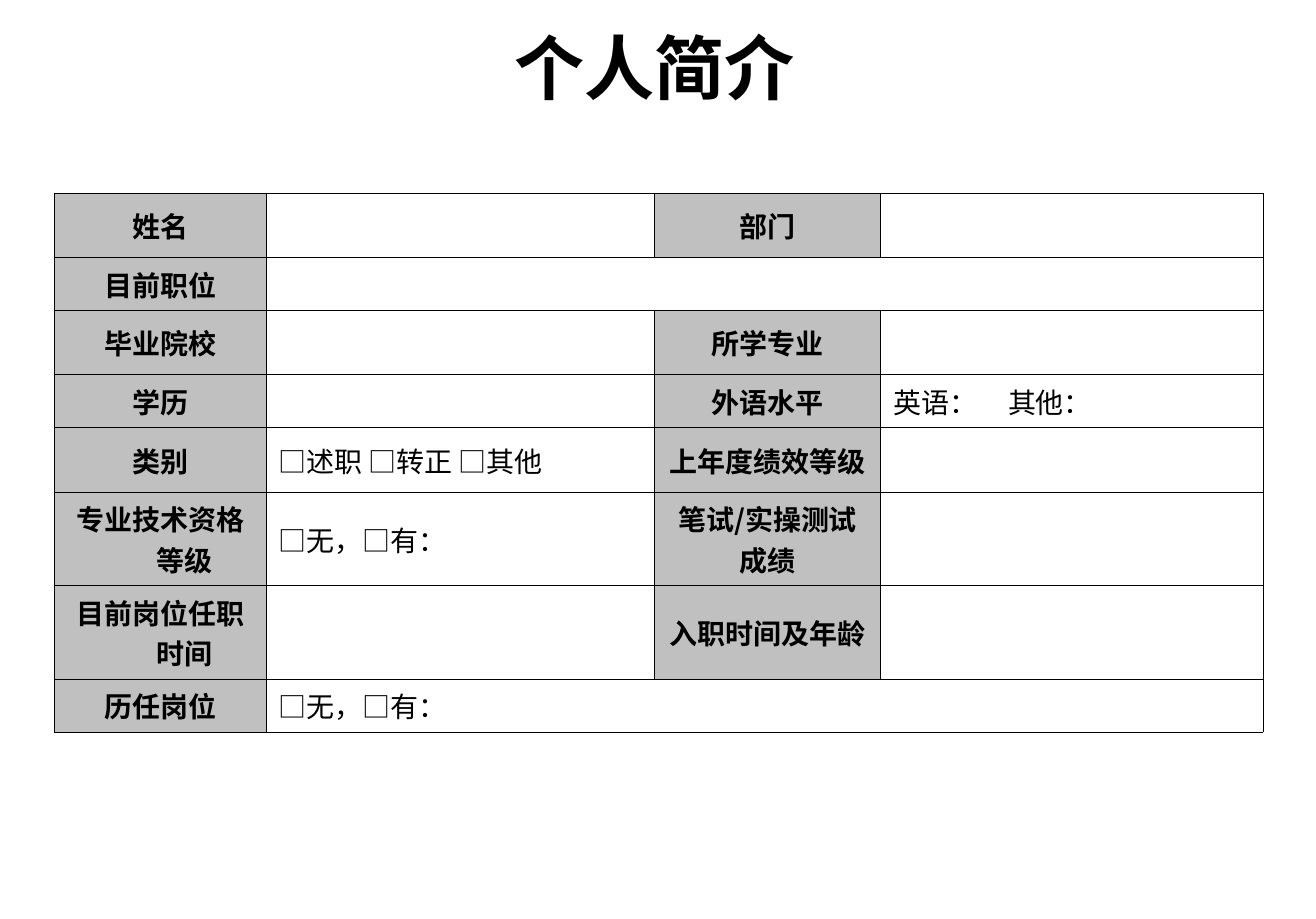
import pptx
import pptx.util
import pptx.dml.color
import pptx.enum.text
import pptx.oxml
import pptx.oxml.ns
import lxml.etree

Inches = pptx.util.Inches
BLACK = pptx.dml.color.RGBColor(0x00, 0x00, 0x00)
WHITE = pptx.dml.color.RGBColor(0xFF, 0xFF, 0xFF)
LABEL_GRAY = pptx.dml.color.RGBColor(0xC0, 0xC0, 0xC0)
FONT_NAME = "Noto Sans CJK SC"
ALIGN = pptx.enum.text.PP_ALIGN
MIDDLE = pptx.enum.text.MSO_ANCHOR.MIDDLE


def add_child(parent, tag, **attributes):
    return lxml.etree.SubElement(parent, pptx.oxml.ns.qn(tag), **attributes)


def write_text(paragraph, text, size, bold, alignment):
    paragraph.alignment = alignment
    run = paragraph.add_run()
    run.text = text
    font_values = {"size": pptx.util.Pt(size), "bold": bold, "name": FONT_NAME}
    for name, value in font_values.items():
        setattr(run.font, name, value)
    run.font.color.rgb = BLACK
    add_child(run.font._element, "a:ea", typeface=FONT_NAME)


presentation = pptx.Presentation()
presentation.slide_width = Inches(10.43)
presentation.slide_height = Inches(7.28)
slide = presentation.slides.add_slide(presentation.slide_layouts[6])

title = slide.shapes.add_textbox(Inches(0.49), Inches(0), Inches(9.39), Inches(1.06))
title.text_frame.word_wrap = True
title.text_frame.vertical_anchor = MIDDLE
write_text(title.text_frame.paragraphs[0], "个人简介", 40, True, ALIGN.CENTER)

column_widths = [1.68, 3.08, 1.79, 3.03]
row_heights = [0.51, 0.42, 0.51, 0.42, 0.51, 0.74, 0.74, 0.42]
profile_rows = [
    ["姓名", "", "部门", ""],
    ["目前职位", ""],
    ["毕业院校", "", "所学专业", ""],
    ["学历", "", "外语水平", "英语：\t其他："],
    ["类别", "□述职 □转正 □其他", "上年度绩效等级", ""],
    ["专业技术资格等级", "□无，□有：", "笔试/实操测试成绩", ""],
    ["目前岗位任职时间", "", "入职时间及年龄", ""],
    ["历任岗位", "□无，□有："],
]

table = slide.shapes.add_table(
    len(row_heights), len(column_widths),
    Inches(0.43), Inches(1.53), Inches(sum(column_widths)), Inches(sum(row_heights)),
).table
table.first_row = False
table.horz_banding = False
for column, width in zip(table.columns, column_widths):
    column.width = Inches(width)
for row, height in zip(table.rows, row_heights):
    row.height = Inches(height)

for row_index, texts in enumerate(profile_rows):
    if len(texts) == 2:
        table.cell(row_index, 1).merge(table.cell(row_index, 3))
    for column_index in range(len(column_widths)):
        cell = table.cell(row_index, column_index)
        cell.vertical_anchor = MIDDLE
        properties = cell._tc.get_or_add_tcPr()
        for side in ("a:lnL", "a:lnR", "a:lnT", "a:lnB"):
            border = add_child(properties, side, w=str(pptx.util.Pt(0.45)))
            add_child(add_child(border, "a:solidFill"), "a:srgbClr", val=str(BLACK))
        is_label = column_index % 2 == 0 and column_index < len(texts)
        cell.fill.solid()
        cell.fill.fore_color.rgb = LABEL_GRAY if is_label else WHITE
        if column_index >= len(texts) or not texts[column_index]:
            continue
        text = texts[column_index]
        paragraph = cell.text_frame.paragraphs[0]
        paragraph_properties = paragraph._p.get_or_add_pPr()
        if column_index == 0:
            paragraph_properties.set("marL", str(Inches(0.38)))
            paragraph_properties.set("indent", str(-Inches(0.38)))
        if "\t" in text:
            tab_list = add_child(paragraph_properties, "a:tabLst")
            add_child(tab_list, "a:tab", pos=str(Inches(0.91)), algn="l")
        write_text(paragraph, text, 16, is_label, ALIGN.CENTER if is_label else ALIGN.LEFT)

presentation.save("out.pptx")
